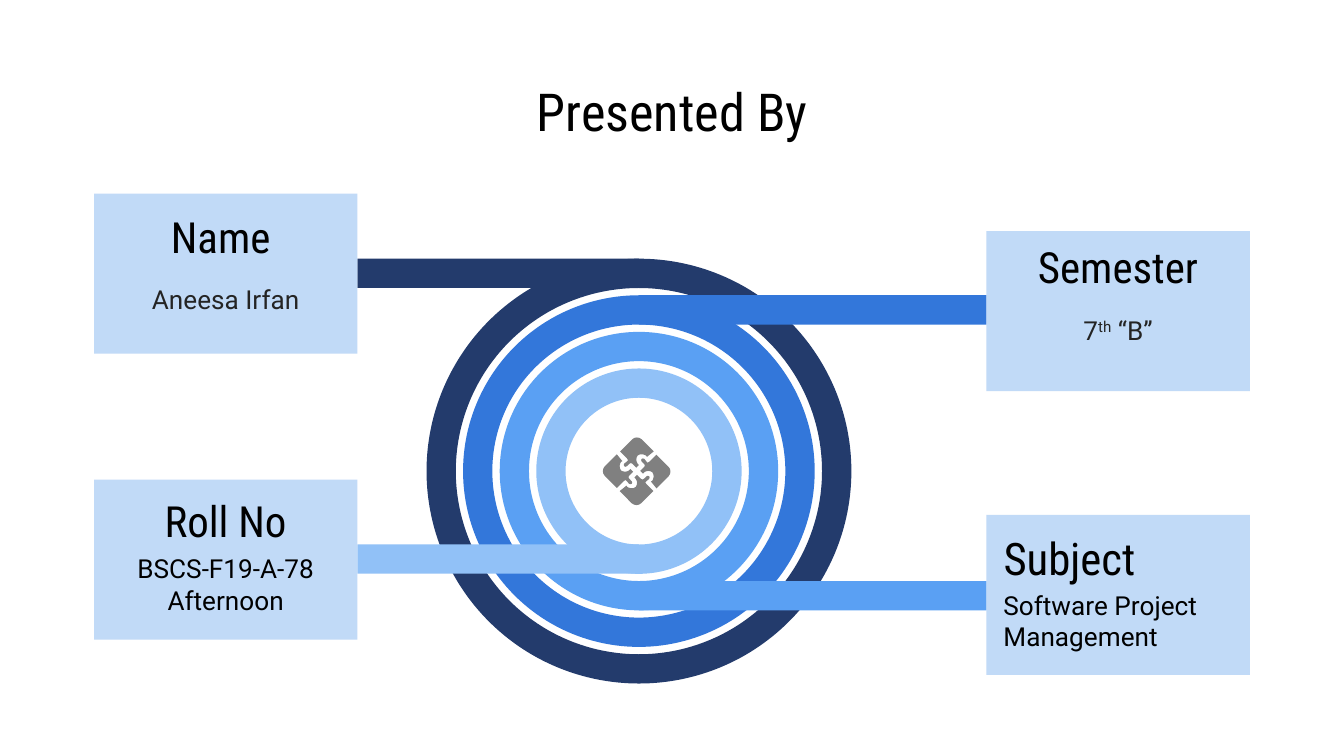
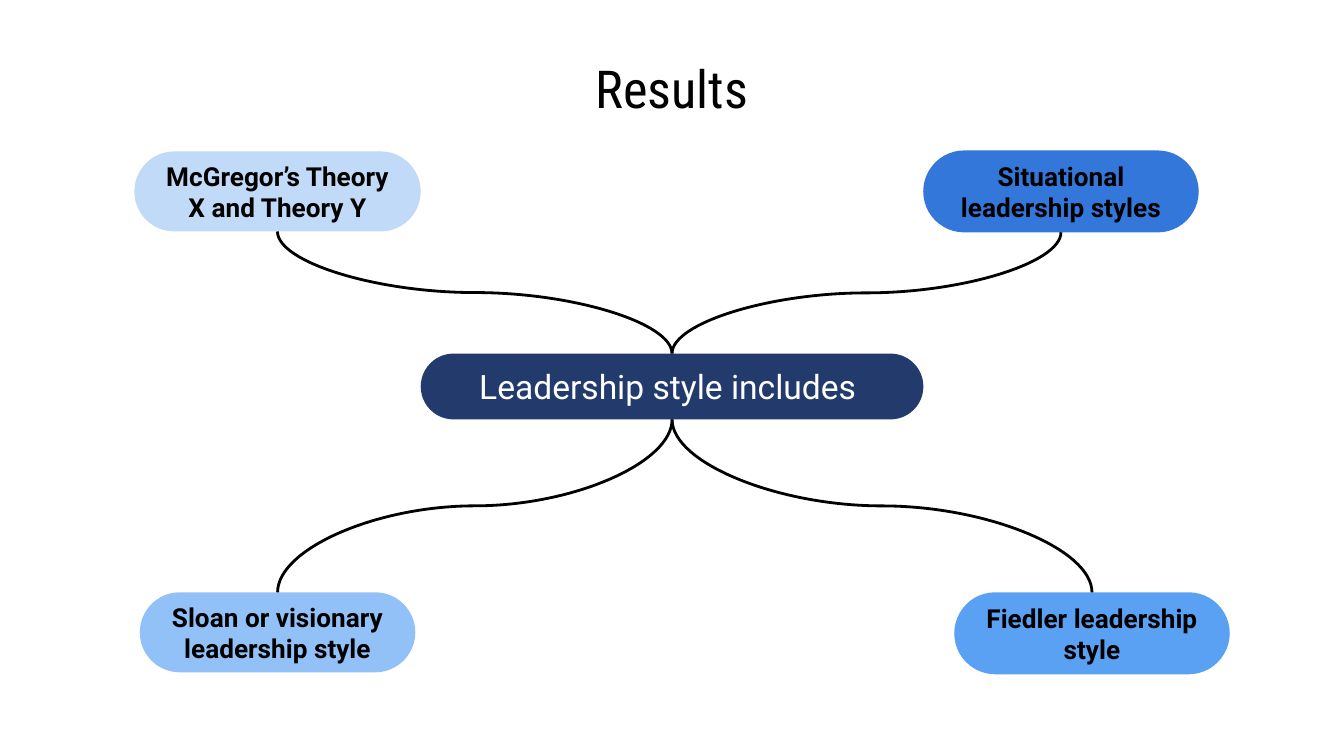
"""Builds a presenter card slide and a leadership style map."""
from dataclasses import dataclass

from pptx import Presentation
from pptx.dml.color import RGBColor
from pptx.enum.shapes import MSO_CONNECTOR, MSO_SHAPE
from pptx.enum.text import MSO_ANCHOR, MSO_AUTO_SIZE, PP_ALIGN
from pptx.oxml.ns import qn
from pptx.util import Pt
from lxml import etree

ROUND, RECT, DONUT = MSO_SHAPE.ROUNDED_RECTANGLE, MSO_SHAPE.RECTANGLE, MSO_SHAPE.DONUT
CURVE = MSO_CONNECTOR.CURVE
LEFT, CENTER = PP_ALIGN.LEFT, PP_ALIGN.CENTER
TOP, MIDDLE = MSO_ANCHOR.TOP, MSO_ANCHOR.MIDDLE
NO_FIT = MSO_AUTO_SIZE.NONE


@dataclass(frozen=True)
class Theme:
    head: str = "Roboto Condensed"
    body: str = "Roboto"
    black: str = "000000"
    ink: str = "242424"
    white: str = "FFFFFF"
    gray: str = "808080"
    navy: str = "233B6C"
    blue: str = "3377DA"
    sky: str = "5AA0F3"
    light: str = "91C1F7"
    pale: str = "C1DAF7"
    title_size: float = 28
    head_size: float = 23
    subject_size: float = 24
    hub_size: float = 18
    body_size: float = 14
    inset: float = 7.2
    line_width: float = 1.5


T = Theme()


class Deck:
    def __init__(self, width, height):
        self.prs = Presentation()
        self.prs.slide_width, self.prs.slide_height = Pt(width), Pt(height)
        self.slide = None

    def new_slide(self, title, x, y, w, h):
        self.slide = self.prs.slides.add_slide(self.prs.slide_layouts[5])
        sp = self.slide.shapes.title
        sp.left, sp.top, sp.width, sp.height = Pt(x), Pt(y), Pt(w), Pt(h)
        self.label(sp, [[title]], T.head, T.title_size, T.black, anchor=TOP)

    def label(self, sp, lines, font, size, color, align=CENTER, anchor=MIDDLE, bold=False):
        tf = sp.text_frame
        frame = {"word_wrap": True, "auto_size": NO_FIT, "vertical_anchor": anchor}
        frame.update({f"margin_{side}": Pt(T.inset) for side in ("left", "top", "right", "bottom")})
        for name, value in frame.items():
            setattr(tf, name, value)
        for i, runs in enumerate(lines):
            p = tf.add_paragraph() if i else tf.paragraphs[0]
            p.alignment = align
            for j, text in enumerate(runs):
                r = p.add_run()
                r.text = text
                for name, value in {"name": font, "size": Pt(size), "bold": bold}.items():
                    setattr(r.font, name, value)
                r.font.color.rgb = RGBColor.from_string(color)
                if j == 1:
                    r.font._element.set("baseline", "30000")

    def text(self, x, y, w, h, lines, *style, **options):
        sp = self.slide.shapes.add_textbox(Pt(x), Pt(y), Pt(w), Pt(h))
        self.label(sp, lines, *style, **options)

    def paint(self, sp, color):
        sp.shadow.inherit = False
        sp.fill.solid()
        sp.fill.fore_color.rgb = RGBColor.from_string(color)
        sp.line.fill.background()

    def shape(self, kind, x, y, w, h, color, adj=None):
        sp = self.slide.shapes.add_shape(kind, Pt(x), Pt(y), Pt(w), Pt(h))
        if adj is not None:
            sp.adjustments[0] = adj
        self.paint(sp, color)
        return sp

    def outline(self, points, color, shapes):
        start, *rest = [(Pt(x), Pt(y)) for x, y in points]
        builder = shapes.build_freeform(*start, scale=1.0)
        builder.add_line_segments(rest, close=True)
        self.paint(builder.convert_to_shape(), color)

    def puzzle(self, cx, cy, piece, color):
        group = self.slide.shapes.add_group_shape()
        for _ in range(4):
            self.outline([(cx + x, cy + y) for x, y in piece], color, group.shapes)
            piece = [(-y, x) for x, y in piece]

    def vertical_curve(self, x1, y1, x2, y2):
        cx, cy, dx, dy = (x1 + x2) / 2, (y1 + y2) / 2, (x2 - x1) / 2, (y2 - y1) / 2
        ends = [Pt(v) for v in (cx - dy, cy + dx, cx + dy, cy - dx)]
        sp = self.slide.shapes.add_connector(CURVE, *ends)
        sp.line.width = Pt(T.line_width)
        sp.line.color.rgb = RGBColor.from_string(T.black)
        spPr = sp._element.spPr
        spPr.find(qn("a:xfrm")).set("rot", "5400000")
        etree.SubElement(spPr, qn("a:effectLst"))


CARD_W, CARD_H = 141.1, 85.7
CARD_LEFT, CARD_RIGHT = 50.4, 528.5
RING_X, RING_Y = 342.3, 252.4
RING_R, RING_STEP, BAND = 113.8, 19.6, 15.7

RINGS = [
    (T.navy, "left", "top"),
    (T.blue, "right", "top"),
    (T.sky, "right", "bottom"),
    (T.light, "left", "bottom"),
]

CARDS = [
    (CARD_LEFT, 103.7, 9.4, "Name ", T.head_size, [["Aneesa Irfan"]], T.ink, CENTER, 137),
    (CARD_RIGHT, 123.8, 5.8, "Semester", T.head_size, [["7", "th", " “B”"]], T.ink, CENTER, 137),
    (CARD_RIGHT, 275.8, 9.4, "Subject", T.subject_size,
     [["Software Project Management"]], T.black, LEFT, 147),
    (CARD_LEFT, 257, 8.6, "Roll No", T.head_size,
     [["BSCS-F19-A-78"], ["Afternoon"]], T.black, CENTER, 137),
]

PIECE = [
    (-10.6, -9.1), (-17.1, -2.7), (-17.9, -1.4), (-18.1, -0.1), (-17.9, 1.2), (-17.1, 2.4),
    (-10.6, 8.9), (-7, 5.3), (-5.9, 4.6), (-5.2, 5.3), (-4.1, 6.7), (-3.4, 6.9),
    (-2.7, 6.7), (-2.4, 6), (-2.7, 5.3), (-4.1, 3.8), (-4.4, 3.1), (-4.1, 2.4),
    (-1.9, 0.2), (-3.4, -1.2), (-4.1, -0.5), (-5.1, 0), (-6.2, 0.2), (-7.4, 0),
    (-8.4, -0.5), (-9, -1.7), (-9.1, -3), (-8.8, -4.2), (-8.4, -5), (-7.7, -5.5),
]

HUB = (225.4, 189.4, 269.3, 35.3)
STYLES = [
    (72, 81.1, 153.4, 42.9, T.pale, "McGregor’s Theory X and Theory Y"),
    (74.9, 317.3, 147.6, 42.9, T.light, "Sloan or visionary leadership style"),
    (511.2, 317.3, 147.6, 43.9, T.sky, "Fiedler leadership style"),
    (494.6, 80.6, 147.6, 43.9, T.blue, "Situational leadership styles"),
]


def presenter_slide(deck):
    deck.new_slide("Presented By", 49, 35.3, 622, 45.4)
    for i, (color, side, edge) in enumerate(RINGS):
        radius = RING_R - i * RING_STEP
        deck.shape(DONUT, RING_X - radius, RING_Y - radius, 2 * radius, 2 * radius,
                   color, BAND / (2 * radius))
        start, end = (CARD_LEFT + CARD_W, RING_X) if side == "left" else (RING_X, CARD_RIGHT)
        y = RING_Y - radius if edge == "top" else RING_Y + radius - BAND
        deck.shape(RECT, start, y, end - start, BAND, color)
    for x, y, gap, head, size, body, color, align, body_w in CARDS:
        deck.shape(ROUND, x, y, CARD_W, CARD_H, T.pale, 0)
        deck.text(x + 2, y + gap, 137, 26.6, [[head]], T.head, size, T.black, align=align)
        deck.text(x + 2, y + gap + 26.8, body_w, 41, body, T.body, T.body_size, color, align=align)
    deck.puzzle(341.1, 252.5, PIECE, T.gray)


def results_slide(deck):
    deck.new_slide("Results", 35.7, 23, 648.6, 45.4)
    hub_x, hub_y, hub_w, hub_h = HUB
    sp = deck.shape(ROUND, *HUB, T.navy, 0.5)
    deck.label(sp, [["Leadership style includes "]], T.body, T.hub_size, T.white)
    for x, y, w, h, color, name in STYLES:
        sp = deck.shape(ROUND, x, y, w, h, color, 0.5)
        deck.label(sp, [[name]], T.body, T.body_size, T.black, bold=True)
        start, end = (hub_y, y + h) if y < hub_y else (hub_y + hub_h, y)
        deck.vertical_curve(hub_x + hub_w / 2, start, x + w / 2, end)


def main():
    deck = Deck(720, 405)
    presenter_slide(deck)
    results_slide(deck)
    deck.prs.save("out.pptx")


if __name__ == "__main__":
    main()
